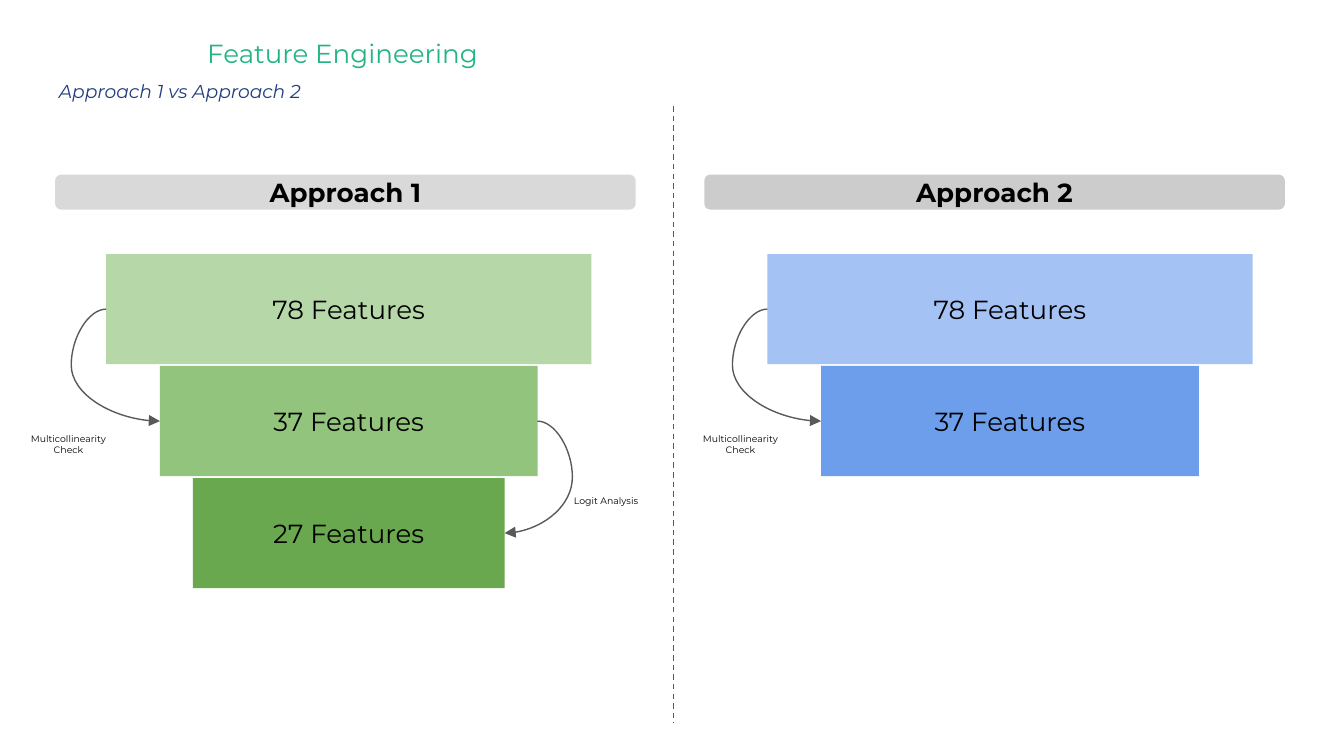
from lxml import etree
from pptx import Presentation
from pptx.dml.color import RGBColor
from pptx.enum.dml import MSO_LINE
from pptx.enum.shapes import MSO_CONNECTOR, MSO_SHAPE
from pptx.enum.text import MSO_ANCHOR, PP_ALIGN
from pptx.oxml.ns import qn
from pptx.util import Inches, Pt

RECT, ROUND = MSO_SHAPE.RECTANGLE, MSO_SHAPE.ROUNDED_RECTANGLE
STRAIGHT, CURVE = MSO_CONNECTOR.STRAIGHT, MSO_CONNECTOR.CURVE
LEFT, CENTER = PP_ALIGN.LEFT, PP_ALIGN.CENTER
TOP, MIDDLE = MSO_ANCHOR.TOP, MSO_ANCHOR.MIDDLE
DASH = MSO_LINE.DASH

BLACK = RGBColor(0x00, 0x00, 0x00)
GRAY = RGBColor(0x59, 0x59, 0x59)
TEAL = RGBColor(0x24, 0xB4, 0x84)
NAVY = RGBColor(0x22, 0x3D, 0x7E)
SILVER = RGBColor(0xD9, 0xD9, 0xD9)
STEEL = RGBColor(0xCC, 0xCC, 0xCC)
GREENS = [RGBColor(0xB6, 0xD7, 0xA8), RGBColor(0x93, 0xC4, 0x7D),
          RGBColor(0x6A, 0xA8, 0x4F)]
BLUES = [RGBColor(0xA4, 0xC2, 0xF4), RGBColor(0x6D, 0x9E, 0xEB)]

prs = Presentation()
prs.slide_width = Inches(10)
prs.slide_height = Inches(10 * 9 / 16)
slide = prs.slides.add_slide(prs.slide_layouts[6])


def add_text(text, box, size, fill=None, kind=RECT, align=CENTER,
             anchor=MIDDLE, inset=0.1):
    """Add a filled shape, or a text box if fill is None; return it and its font."""
    place = [Inches(v) for v in box]
    if fill is None:
        shape = slide.shapes.add_textbox(*place)
    else:
        shape = slide.shapes.add_shape(kind, *place)
        shape.shadow.inherit = False
        shape.fill.solid()
        shape.fill.fore_color.rgb = fill
        shape.line.fill.background()
    frame = shape.text_frame
    frame.word_wrap = True
    frame.vertical_anchor = anchor
    frame.margin_left = frame.margin_right = Inches(0.1)
    frame.margin_top = frame.margin_bottom = Inches(inset)
    frame.text = text
    para = frame.paragraphs[0]
    para.alignment = align
    font = para.runs[0].font
    font.name, font.size = "Montserrat", Pt(size)
    font.color.rgb = BLACK
    return shape, font


def add_line(kind, start, end):
    line = slide.shapes.add_connector(kind, *[Inches(v) for v in start + end])
    line.line.color.rgb = GRAY
    line.line.width = Pt(0.75)
    etree.SubElement(line._element.spPr, qn("a:effectLst"))
    return line


# Headings
_, font = add_text("Feature Engineering", (0.45, 0.23, 4.2, 0.31), 14,
                   anchor=TOP, inset=0.05)
font.fill.gradient()
font.fill.gradient_angle = 0
for stop, color in zip(font.fill.gradient_stops, (TEAL, NAVY)):
    stop.color.rgb = color
_, font = add_text("Approach 1 vs Approach 2", (0.34, 0.51, 3.41, 0.33), 10,
                   align=LEFT)
font.italic = True
font.color.rgb = NAVY

# Funnels: centred bars, each joined to the next by a curved arrow
STEPS = [("78 Features", 3.61), ("37 Features", 2.81), ("27 Features", 2.32)]
HIGH, PITCH, BULGE = 0.82, 5 / 6, 0.26
for left, colors in ((0.79, GREENS), (5.71, BLUES)):
    mid = left + STEPS[0][1] / 2
    for i, ((text, wide), color) in enumerate(zip(STEPS, colors)):
        top = 1.89 + i * PITCH
        add_text(text, (mid - wide / 2, top, wide, HIGH), 14, color)
        if i == 0:
            continue
        side = -1 if i == 1 else 1  # first arrow on the left, second on the right
        last = STEPS[i - 1][1]
        y = top + HIGH / 2
        arrow = add_line(CURVE, (mid + side * last / 2, y - PITCH),
                         (mid + side * wide / 2, y))
        bend = -BULGE / ((last - wide) / 2)
        guides = arrow._element.spPr.find(qn("a:prstGeom")).get_or_add_avLst()
        etree.SubElement(guides, qn("a:gd"), name="adj1",
                         fmla=f"val {round(bend * 100000)}")
        etree.SubElement(arrow.line._get_or_add_ln(), qn("a:tailEnd"),
                         type="triangle")

# Column headers and divider
for text, left, color in (("Approach 1", 0.41, SILVER),
                          ("Approach 2", 5.24, STEEL)):
    bar, font = add_text(text, (left, 1.3, 4.32, 0.26), 14, color, ROUND)
    bar.adjustments[0] = 0.17
    font.bold = True
add_line(STRAIGHT, (5.01, 0.79), (5.01, 5.38)).line.dash_style = DASH

# Arrow labels
for text, left, top, high in (("Multicollinearity Check", 0.1, 3.14, 0.37),
                              ("Multicollinearity Check", 5.1, 3.14, 0.37),
                              ("Logit Analysis", 4.1, 3.64, 0.29)):
    add_text(text, (left, top, 0.82, high), 5, anchor=TOP)

prs.save("out.pptx")
